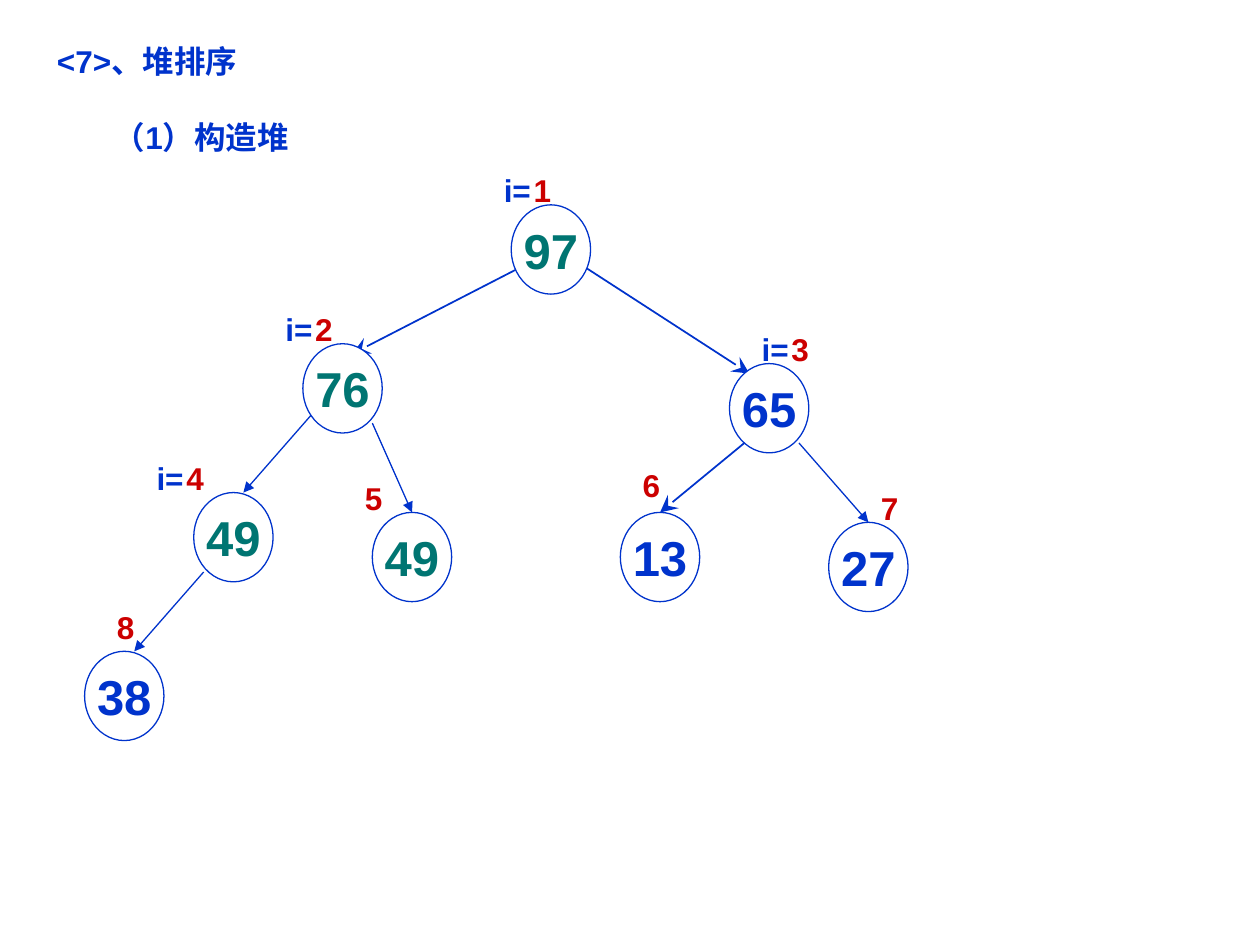
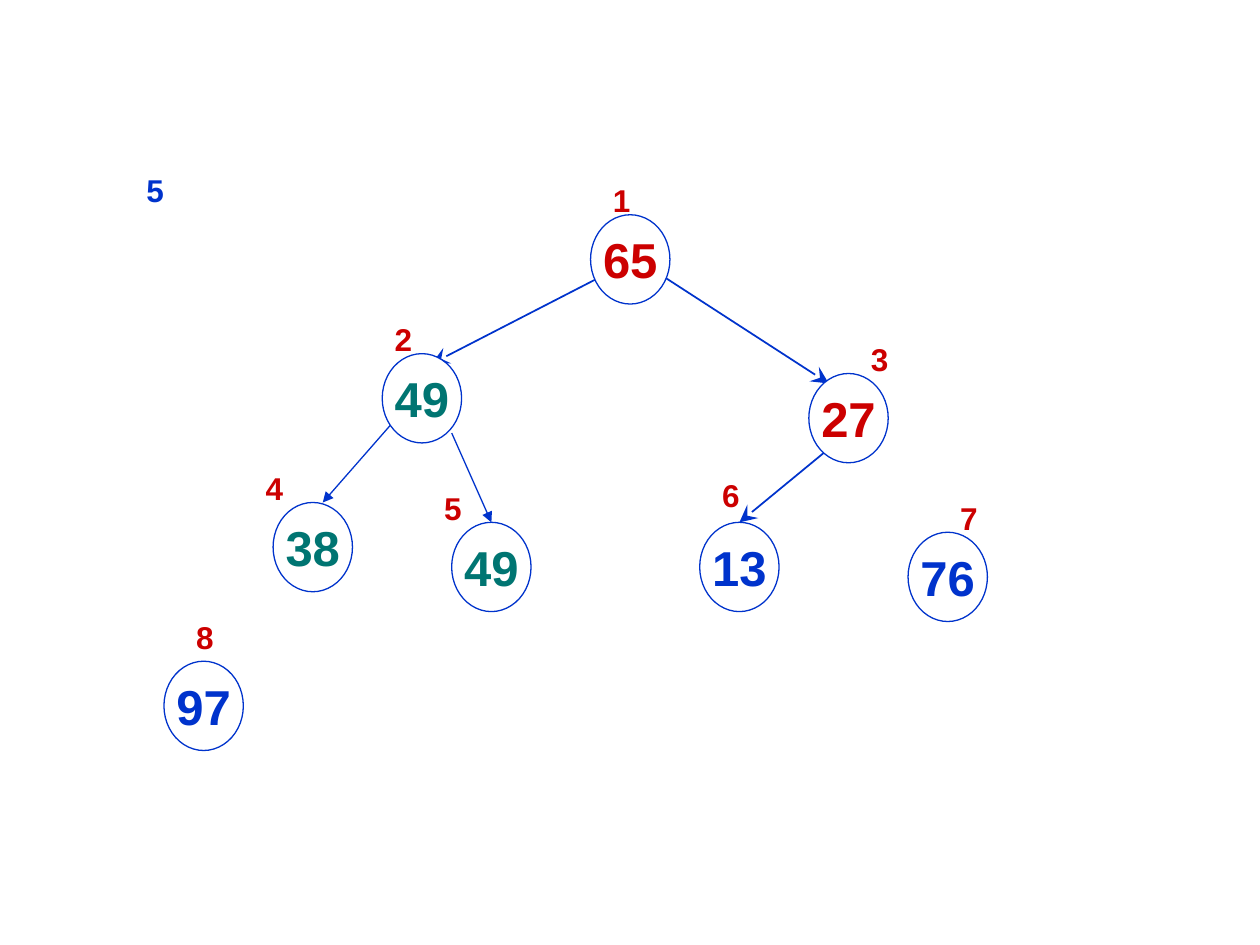
from lxml import etree
from pptx import Presentation
from pptx import util as u
from pptx.dml.color import RGBColor
from pptx.enum import shapes, text
from pptx.oxml import ns

BLUE = RGBColor(0x00, 0x33, 0xCC)
RED = RGBColor(0xCC, 0x00, 0x00)
TEAL = RGBColor(0x00, 0x75, 0x72)
WHITE = RGBColor(0xFF, 0xFF, 0xFF)

COLS = 127
NODES = {1: (43, 0), 2: (22, 14), 3: (65, 16), 4: (11, 29),
         5: (29, 31), 6: (54, 31), 7: (75, 32), 8: (0, 45)}
LABELS = {1: (44, -4, 4.3, 5), 2: (22, 10, 4, 5), 3: (70, 12, 5.3, 5),
          4: (9, 25, 4.3, 5), 5: (27, 27, 4, 5), 6: (55, 21.8, 4.5, 9),
          7: (79, 28, 4.3, 5), 8: (2, 40, 4.3, 5)}
THICK = (1, "stealth", "lg")
THIN = (0.75, "triangle", "med")
EDGES = {2: (44.5, 6, 27, 15, THICK), 3: (50, 6, 67, 17, THICK),
         4: (23, 21, 16, 29, THIN), 5: (29, 22, 33, 31, THIN),
         6: (66.5, 24, 58, 31, THICK), 7: (72, 24, 79, 32, THIN),
         8: (12, 37, 5, 45, THIN)}


class Deck:
    """Draws heap trees on a square grid with one shared style."""

    def __init__(self):
        self.prs = Presentation()
        self.prs.slide_width = u.Inches(10)
        self.prs.slide_height = u.Inches(7.5)
        self.cell = self.prs.slide_width / COLS

    def page(self, left, top):
        self.slide = self.prs.slides.add_slide(self.prs.slide_layouts[6])
        self.left, self.top = left, top

    def grid(self, *cells):
        return [round(c * self.cell) for c in cells]

    def run(self, para, words, size, color):
        run = para.add_run()
        run.text = words
        font = run.font
        font.name, font.size, font.bold = "Arial", u.Pt(size), True
        font.color.rgb = color

    def box(self, x, y, w, h, lines, color, wrap=True, gap=0, inset=0):
        frame = self.slide.shapes.add_textbox(*self.grid(x, y, w, h)).text_frame
        frame.word_wrap = wrap
        if not wrap:
            frame.auto_size = text.MSO_AUTO_SIZE.SHAPE_TO_FIT_TEXT
        frame.vertical_anchor = text.MSO_ANCHOR.BOTTOM if h == 9 else text.MSO_ANCHOR.TOP
        for i, line in enumerate(lines):
            para = frame.add_paragraph() if i else frame.paragraphs[0]
            if i:
                para.space_before = u.Pt(gap)
                para._p.get_or_add_pPr().set("indent", str(u.Pt(inset)))
            self.run(para, line, 18, color)

    def label(self, key, mark):
        x, y, w, h = LABELS[key]
        x, y = x + self.left, y + self.top
        self.box(x, y, w, h, [str(key)], RED)
        if mark:
            self.box(x - 3, y, 5.3, h, ["i="], BLUE, wrap=False)

    def node(self, key, value, color):
        x, y = NODES[key]
        oval = self.slide.shapes.add_shape(
            shapes.MSO_SHAPE.OVAL, *self.grid(x + self.left, y + self.top, 8, 9))
        oval.shadow.inherit = False
        oval.fill.solid()
        oval.fill.fore_color.rgb = WHITE
        oval.line.color.rgb = BLUE
        oval.line.width = u.Pt(0.75)
        frame = oval.text_frame
        frame.word_wrap = False
        frame.vertical_anchor = text.MSO_ANCHOR.MIDDLE
        para = frame.paragraphs[0]
        para.alignment = text.PP_ALIGN.CENTER
        self.run(para, str(value), 28, color)

    def edge(self, key):
        x, y, to_x, to_y, (width, tip, size) = EDGES[key]
        ends = self.grid(x + self.left, y + self.top, to_x + self.left, to_y + self.top)
        line = self.slide.shapes.add_connector(shapes.MSO_CONNECTOR.STRAIGHT, *ends)
        line.line.color.rgb = BLUE
        line.line.width = u.Pt(width)
        etree.SubElement(line.line._get_or_add_ln(), ns.qn("a:tailEnd"),
                         type=tip, w=size, len=size)
        etree.SubElement(line._element.spPr, ns.qn("a:effectLst"))

    def tree(self, values, edges, marks=()):
        for key in edges:
            self.edge(key)
        for key in LABELS:
            self.label(key, key in marks)
        for key, (value, color) in enumerate(values, 1):
            self.node(key, value, color)


def main():
    deck = Deck()
    deck.page(8.53, 20.65)
    deck.box(4.5, 3.6, 63.5, 12.7, ["<7>、堆排序", "（1）构造堆"], BLUE, gap=21.8, inset=32.5)
    deck.tree([(97, TEAL), (76, TEAL), (65, BLUE), (49, TEAL),
               (49, TEAL), (13, BLUE), (27, BLUE), (38, BLUE)],
              EDGES, marks=range(1, 5))
    deck.page(16.53, 21.65)
    deck.tree([(65, RED), (49, TEAL), (27, RED), (38, TEAL),
               (49, TEAL), (13, BLUE), (76, BLUE), (97, BLUE)], range(2, 7))
    deck.box(13.5, 16.6, 19, 5, ["5"], BLUE)
    deck.prs.save("out.pptx")


if __name__ == "__main__":
    main()
